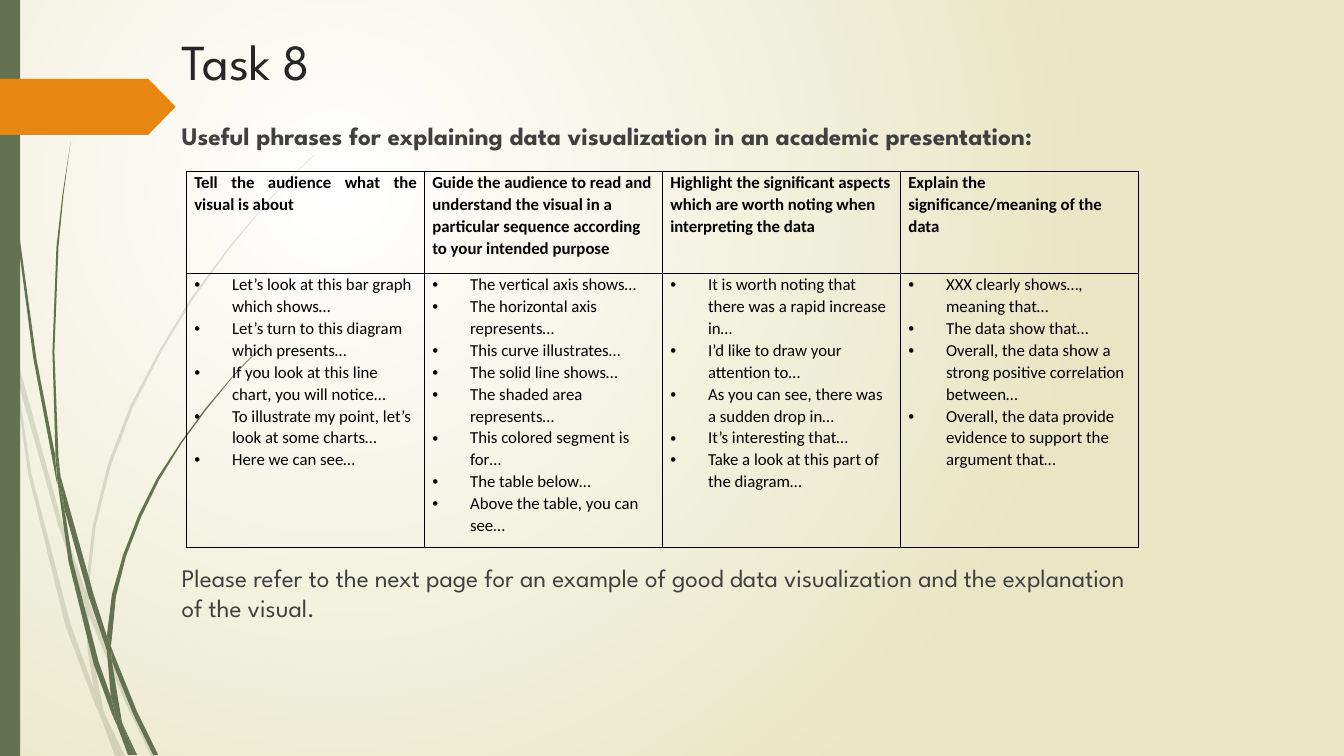
from lxml import etree
from pptx import Presentation
from pptx.dml.color import RGBColor
from pptx.enum.shapes import MSO_SHAPE
from pptx.enum.text import MSO_ANCHOR, PP_ALIGN
from pptx.oxml.ns import qn
from pptx.util import Pt

RECT, TAG = MSO_SHAPE.RECTANGLE, MSO_SHAPE.PENTAGON
TOP, LEFT, JUSTIFY = MSO_ANCHOR.TOP, PP_ALIGN.LEFT, PP_ALIGN.JUSTIFY

TITLE = "Task 8"
INTRO = "Useful phrases for explaining data visualization in an academic presentation:"
CLOSING = ("Please refer to the next page for an example of good data visualization "
           "and the explanation of the visual.")
COLUMNS = [
    ("Tell the audience what the visual is about", [
        "Let’s look at this bar graph which shows…",
        "Let’s turn to this diagram which presents…",
        "If you look at this line chart, you will notice…",
        "To illustrate my point, let’s look at some charts…",
        "Here we can see…"]),
    ("Guide the audience to read and understand the visual in a particular sequence "
     "according to your intended purpose", [
        "The vertical axis shows…",
        "The horizontal axis represents…",
        "This curve illustrates…",
        "The solid line shows…",
        "The shaded area represents…",
        "This colored segment is for…",
        "The table below…",
        "Above the table, you can see…"]),
    ("Highlight the significant aspects which are worth noting when interpreting the data", [
        "It is worth noting that there was a rapid increase in…",
        "I’d like to draw your attention to…",
        "As you can see, there was a sudden drop in…",
        "It’s interesting that…",
        "Take a look at this part of the diagram…"]),
    ("Explain the significance/meaning of the data", [
        "XXX clearly shows…, meaning that…",
        "The data show that…",
        "Overall, the data show a strong positive correlation between…",
        "Overall, the data provide evidence to support the argument that…"]),
]

GREEN, ORANGE, INK = "647252", "E78712", "404040"
BACKDROP = ["FFFFFF", "E8E6C4"]
HEADING = {"name": "League Spartan", "size": Pt(36), "color": "262626"}
BODY = {"name": "League Spartan", "size": Pt(18), "color": INK}
CELL = {"name": "Calibri", "size": Pt(12), "color": "000000"}

# Outlines of the grass pieces, in steps of GRID points
GRID = 0.72
PALE_GRASS = [
    [(11, 350), (9, 322), (0, 282), (0, 299), (10, 344)],
    [(58, 522), (84, 599), (85, 586), (62, 520), (14, 345), (17, 376)],
    [(92, 607), (88, 596), (88, 610), (123, 694), (150, 751), (155, 751), (127, 692)],
    [(119, 751), (124, 751), (105, 711)],
    [(93, 683), (70, 619), (31, 469), (17, 376), (11, 350), (28, 470), (65, 621), (92, 693),
     (101, 714), (99, 707)],
    [(84, 599), (87, 646), (93, 683), (96, 692), (105, 711), (103, 706), (91, 646), (88, 610),
     (88, 608)],
    [(88, 584), (95, 522), (110, 462), (132, 404), (160, 349), (192, 296), (229, 245), (268, 198),
     (290, 175), (312, 154), (312, 153), (289, 175), (268, 197), (228, 244), (190, 295),
     (158, 348), (129, 403), (107, 461), (92, 522), (85, 584), (85, 586), (88, 596)],
    [(101, 714), (114, 751), (119, 751)],
    [(88, 608), (88, 610), (88, 596), (85, 586), (84, 599)],
    [(96, 692), (93, 683), (99, 707), (101, 714), (119, 751), (105, 711)],
]
DARK_GRASS = [
    [(7, 110), (17, 233), (33, 355), (56, 477), (57, 481), (55, 457), (55, 453), (36, 355),
     (19, 232), (8, 109), (5, 48), (4, 0), (3, 0), (4, 48)],
    [(88, 592), (106, 645), (106, 633), (106, 631), (93, 590), (60, 472), (64, 505)],
    [(113, 649), (110, 641), (111, 656), (132, 708), (152, 749), (157, 749), (136, 706)],
    [(110, 691), (98, 657), (72, 556), (64, 505), (57, 477), (68, 557), (93, 659), (111, 708),
     (117, 722), (116, 717)],
    [(60, 472), (58, 453), (54, 349), (58, 245), (63, 193), (70, 141), (62, 193), (56, 245),
     (52, 349), (55, 449)],
    [(133, 749), (136, 749), (122, 719)],
    [(57, 477), (64, 505), (60, 472), (55, 449), (55, 453)],
    [(111, 633), (115, 592), (125, 552), (140, 513), (158, 476), (180, 440), (205, 406),
     (231, 374), (245, 359), (261, 344), (260, 344), (245, 358), (231, 373), (204, 405),
     (179, 439), (156, 474), (137, 512), (122, 551), (111, 590), (106, 631), (110, 641)],
    [(117, 722), (127, 749), (131, 749)],
    [(106, 645), (110, 691), (116, 706), (122, 719), (121, 716), (111, 656), (109, 651)],
    [(106, 645), (109, 651), (111, 656), (110, 641), (106, 631), (106, 633)],
    [(116, 706), (110, 691), (116, 717), (117, 722), (130, 749), (133, 749), (122, 719)],
]

TEXT_LEFT, TEXT_WIDTH = 122.6, 702
TABLE_LEFT, TABLE_TOP, COL_WIDTH, ROW_HEIGHTS = 133.4, 122.4, 170, (72.8, 195.8)


def rgb(value):
    return RGBColor.from_string(value)


def add_xml(parent, tag, **attrs):
    return etree.SubElement(parent, qn(tag), attrs)


def style(font, **values):
    for key, value in values.items():
        if key == "color":
            font.color.rgb = rgb(value)
        else:
            setattr(font, key, value)


def paint(shape, color, opacity=100):
    shape.shadow.inherit = False
    shape.fill.solid()
    shape.fill.fore_color.rgb = rgb(color)
    shape.line.fill.background()
    if opacity < 100:
        clr = shape._element.spPr.find(qn("a:solidFill"))[0]
        add_xml(clr, "a:alpha", val=str(opacity * 1000))


def add_grass(s, pieces, opacity):
    for piece in pieces:
        outline = [(Pt(x * GRID), Pt(min(y * GRID, 540))) for x, y in piece]
        builder = s.shapes.build_freeform(*outline[0])
        builder.add_line_segments(outline[1:], close=True)
        paint(builder.convert_to_shape(), GREEN, opacity)


def add_text(s, top, height, text, bold):
    tf = s.shapes.add_textbox(Pt(TEXT_LEFT), Pt(top), Pt(TEXT_WIDTH), Pt(height)).text_frame
    tf.word_wrap = True
    tf.text = text
    style(tf.paragraphs[0].runs[0].font, **BODY, bold=bold)


def fill_cell(cell, texts, header, align=LEFT):
    cell.margin_left = cell.margin_right = Pt(5.4)
    cell.margin_top = cell.margin_bottom = 0
    cell.vertical_anchor = TOP
    cell.fill.background()
    tc_pr = cell._tc.get_or_add_tcPr()
    for i, side in enumerate(("a:lnL", "a:lnR", "a:lnT", "a:lnB")):
        ln = add_xml(tc_pr, side, w=str(Pt(1)))
        add_xml(add_xml(ln, "a:solidFill"), "a:srgbClr", val="000000")
        tc_pr.insert(i, ln)
    tf = cell.text_frame
    for i, text in enumerate(texts):
        p = tf.add_paragraph() if i else tf.paragraphs[0]
        p.alignment, p.line_spacing = align, 1.07
        if not header:
            p_pr = p._p.get_or_add_pPr()
            p_pr.set("marL", str(Pt(27)))
            p_pr.set("indent", str(Pt(-27)))
            add_xml(p_pr, "a:buFont", typeface="Arial")
            add_xml(p_pr, "a:buChar", char="•")
        r = p.add_run()
        r.text = text
        style(r.font, **CELL, bold=header)


def set_backdrop(s):
    """Radial gradient centred in the upper left."""
    fill = s.background.fill
    fill.gradient()
    for i, (stop, color) in enumerate(zip(fill.gradient_stops, BACKDROP)):
        stop.color.rgb, stop.position = rgb(color), i
    grad = s.background._cSld.find(".//" + qn("a:gradFill"))
    grad.remove(grad.find(qn("a:lin")))
    circle = add_xml(grad, "a:path", path="circle")
    add_xml(circle, "a:fillToRect", l="50000", t="50000", r="100000", b="100000")


def main():
    prs = Presentation()
    prs.slide_width, prs.slide_height = Pt(960), Pt(540)
    s = prs.slides.add_slide(prs.slide_layouts[5])
    set_backdrop(s)

    add_grass(s, PALE_GRASS, 20)
    add_grass(s, DARK_GRASS, 100)
    paint(s.shapes.add_shape(RECT, 0, 0, Pt(14.4), Pt(540)), GREEN)
    tag = s.shapes.add_shape(TAG, 0, Pt(56.3), Pt(125.5), Pt(40))
    tag.adjustments[0] = 0.49
    paint(tag, ORANGE)

    title = s.shapes.title
    title.left, title.top, title.width, title.height = map(Pt, (TEXT_LEFT, 18, TEXT_WIDTH, 100))
    tf = title.text_frame
    tf.text, tf.vertical_anchor = TITLE, TOP
    tf.paragraphs[0].alignment = LEFT
    style(tf.paragraphs[0].runs[0].font, **HEADING)

    add_text(s, 82.3, 32, INTRO, True)
    add_text(s, 398, 54, CLOSING, False)

    table = s.shapes.add_table(2, len(COLUMNS), Pt(TABLE_LEFT), Pt(TABLE_TOP),
                               Pt(COL_WIDTH * len(COLUMNS)), Pt(sum(ROW_HEIGHTS))).table
    table.first_row = table.horz_banding = False
    for row, height in zip(table.rows, ROW_HEIGHTS):
        row.height = Pt(height)
    for c, (heading, phrases) in enumerate(COLUMNS):
        table.columns[c].width = Pt(COL_WIDTH)
        fill_cell(table.cell(0, c), [heading], True, LEFT if c else JUSTIFY)
        fill_cell(table.cell(1, c), phrases, False)

    prs.save("out.pptx")


if __name__ == "__main__":
    main()
